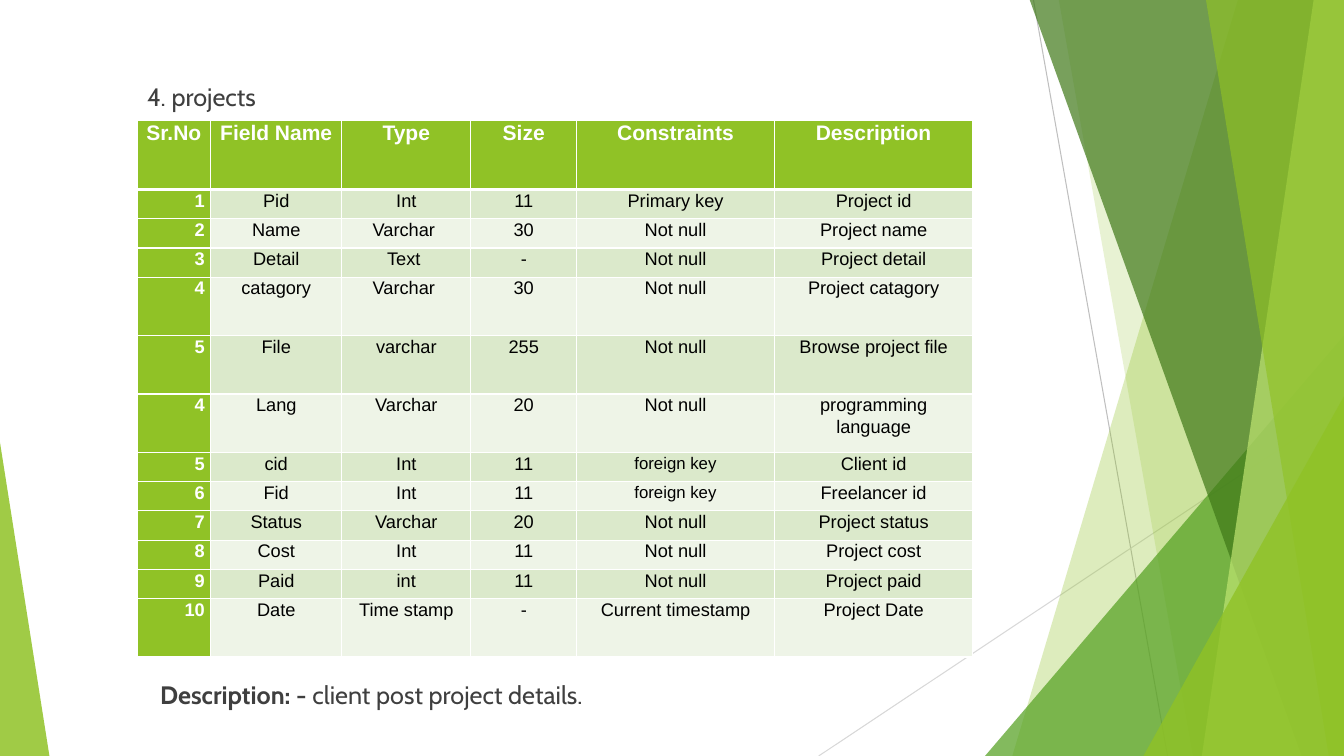
from lxml import etree
from pptx import Presentation
from pptx.dml.color import RGBColor
from pptx.enum.shapes import MSO_CONNECTOR, MSO_SHAPE
from pptx.enum.text import PP_ALIGN
from pptx.oxml.ns import qn
from pptx.util import Pt

PX = 9144  # 100 px to the inch
STRAIGHT = MSO_CONNECTOR.STRAIGHT
TRIANGLE = MSO_SHAPE.ISOSCELES_TRIANGLE
CENTER, RIGHT = PP_ALIGN.CENTER, PP_ALIGN.RIGHT
GREEN, WHITE, BLACK, GREY = "90C226", "FFFFFF", "000000", "3F3F3F"
BANDS = ["DBE9CB", "EEF4E7"]


def color(value):
    return RGBColor.from_string(value)


def paint_facet(shape, fill, opacity):
    """Fill a decorative shape with a see-through colour and no outline."""
    shape.shadow.inherit = False
    shape.line.fill.background()
    shape.fill.solid()
    shape.fill.fore_color.rgb = color(fill)
    tint = shape.fill._xPr.find(f".//{qn('a:srgbClr')}")
    etree.SubElement(tint, qn("a:alpha"), val=str(opacity * 1000))


deck = Presentation()
deck.slide_width, deck.slide_height = 1333 * PX, 750 * PX
page = deck.slides.add_slide(deck.slide_layouts[6])
shapes = page.shapes

# Thin lines behind the facets
for x1, y1, x2, y2, stroke in [(1025, 0, 1158, 750, "BFBFBF"), (1333, 403, 812, 750, "D8D8D8")]:
    line = shapes.add_connector(STRAIGHT, x1 * PX, y1 * PX, x2 * PX, y2 * PX)
    line.line.color.rgb = color(stroke)
    line.line.width = Pt(0.75)
    etree.SubElement(line._element.spPr, qn("a:effectLst"))

# Facets from back to front. A band runs from its top left x to its bottom
# left x and on to the right edge; a triangle has left, top, width, height, apex.
facets = [
    ((1228, 1004), GREEN, 30),
    ((1050, 1183), GREEN, 20),
    ((977, 333, 356, 417, 1), "54A021", 72),
    ((1021, 1291), "3F7818", 70),
    ((1303, 1192), "BFE471", 70),
    ((1196, 1318), GREEN, 65),
    ((1134, 393, 199, 357, 1), GREEN, 80),
    ((0, 439, 49, 311, 0), GREEN, 85),
]
for geometry, fill, opacity in facets:
    if len(geometry) == 2:
        top_x, bottom_x = geometry
        outline = shapes.build_freeform(top_x, -1, scale=PX)
        outline.add_line_segments([(1333, -1), (1333, 750), (bottom_x, 750)])
        facet = outline.convert_to_shape()
    else:
        *bounds, apex = geometry
        facet = shapes.add_shape(TRIANGLE, *[length * PX for length in bounds])
        facet.adjustments[0] = apex
    paint_facet(facet, fill, opacity)

# Heading and closing description
texts = [
    (136, 76, 878, 493, [("4. projects", False)]),
    (149, 669, 747, 81, [("Description: -", True), (" client post project details.", False)]),
]
for left, top, width, height, spans in texts:
    box = shapes.add_textbox(left * PX, top * PX, width * PX, height * PX)
    box.text_frame.word_wrap = True
    para = box.text_frame.paragraphs[0]
    para.font.name, para.font.size = "Cabin", Pt(18)
    para.font.color.rgb = color(GREY)
    for text, bold in spans:
        span = para.add_run()
        span.text, span.font.bold = text, bold

# Field table
rows = [
    ["Sr.No", "Field Name", "Type", "Size", "Constraints", "Description"],
    ["1", "Pid", "Int", "11", "Primary key", "Project id"],
    ["2", "Name", "Varchar ", "30", "Not null", "Project name"],
    ["3", "Detail", "Text ", "-", "Not null", "Project detail"],
    ["4", "catagory", "Varchar ", "30", "Not null", "Project catagory"],
    ["5", "File", "varchar", "255", "Not null", "Browse project file"],
    ["4", "Lang", "Varchar", "20", "Not null", "programming language"],
    ["5", "cid", "Int", "11", "foreign key", "Client id"],
    ["6", "Fid", "Int", "11", "foreign key", "Freelancer id"],
    ["7", "Status", "Varchar", "20", "Not null", "Project status"],
    ["8", "Cost", "Int", "11", "Not null", "Project cost"],
    ["9", "Paid", "int", "11", "Not null", "Project paid"],
    ["10", "Date", "Time stamp", "-", "Current timestamp", "Project Date"],
]
column_widths = [73, 130, 128, 105, 196, 197]
row_heights = [69] + [29] * 3 + [58] * 3 + [29] * 5 + [58]
table = shapes.add_table(
    len(rows), len(column_widths), 136 * PX, 119 * PX,
    sum(column_widths) * PX, sum(row_heights) * PX,
).table
for column, width in zip(table.columns, column_widths):
    column.width = width * PX
for row, height in zip(table.rows, row_heights):
    row.height = height * PX

for r, row in enumerate(rows):
    for c, text in enumerate(row):
        cell = table.cell(r, c)
        header, label = r == 0, r == 0 or c == 0
        cell.margin_left = cell.margin_right = 6 * PX
        cell.margin_top = cell.margin_bottom = 0
        for side in ["lnL", "lnR", "lnT", "lnB"]:
            under_header = (r, side) in [(0, "lnB"), (1, "lnT")]
            border = etree.SubElement(
                cell._tc.get_or_add_tcPr(), qn(f"a:{side}"), w=str(Pt(3 if under_header else 1)))
            border_fill = etree.SubElement(border, qn("a:solidFill"))
            etree.SubElement(border_fill, qn("a:srgbClr"), val=WHITE)
        cell.fill.solid()
        cell.fill.fore_color.rgb = color(GREEN if label else BANDS[(r - 1) % 2])
        cell.text = text
        para = cell.text_frame.paragraphs[0]
        para.alignment = RIGHT if c == 0 and not header else CENTER
        para.line_spacing = 1.07
        para.font.name = "Arial"
        para.font.size = Pt(15 if header else 12 if text == "foreign key" else 13)
        para.font.bold = label
        para.font.color.rgb = color(WHITE if label else BLACK)

deck.save("out.pptx")
